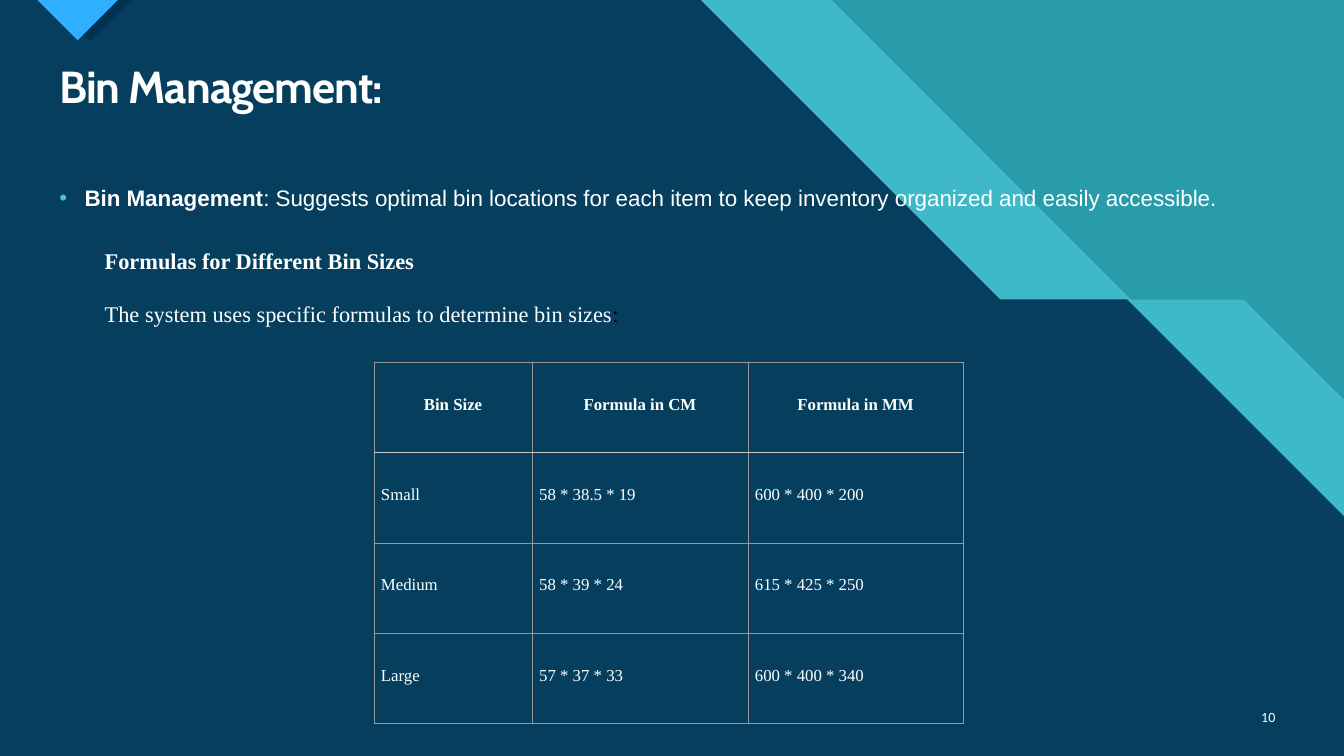
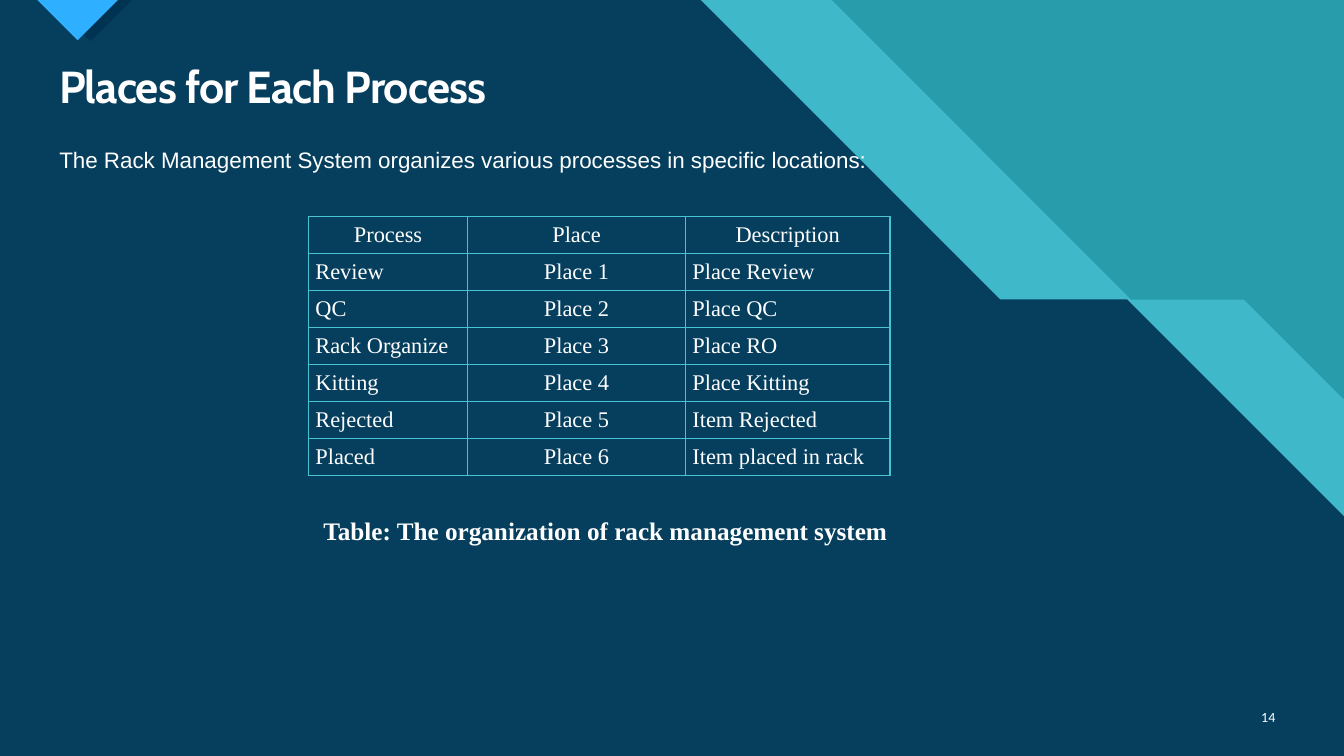
from dataclasses import dataclass

from lxml import etree
from pptx import Presentation
from pptx.dml.color import RGBColor
from pptx.enum.text import MSO_ANCHOR, PP_ALIGN
from pptx.oxml.ns import qn
from pptx.util import Inches, Pt

LEFT, CENTER, RIGHT = PP_ALIGN.LEFT, PP_ALIGN.CENTER, PP_ALIGN.RIGHT
TOP, MIDDLE = MSO_ANCHOR.TOP, MSO_ANCHOR.MIDDLE

# The slide is a grid of square cells, 40 columns by 22.5 rows.
COLUMNS, ROWS = 40, 22.5
SLIDE_WIDTH, SLIDE_HEIGHT = Inches(13.333), Inches(7.5)
CELL = SLIDE_HEIGHT / ROWS

TEAL = RGBColor(0x29, 0x9C, 0xAB)
LIGHT_TEAL = RGBColor(0x3F, 0xB9, 0xC9)
ACCENT_TEAL = RGBColor(0x47, 0xC3, 0xD3)
NAVY = RGBColor(0x06, 0x3F, 0x5E)
DARK_NAVY = RGBColor(0x00, 0x33, 0x52)
BLUE = RGBColor(0x2F, 0xAF, 0xFF)
WHITE = RGBColor(0xFF, 0xFF, 0xFF)
BLACK = RGBColor(0x00, 0x00, 0x00)
GRAY = RGBColor(0x99, 0x99, 0x99)
LIGHT_GRAY = RGBColor(0xC9, 0xC9, 0xC9)

TITLE_FONT, BODY_FONT, SERIF_FONT, NUMBER_FONT = "Cabin", "Arial", "Times New Roman", "Calibri"

BACKDROP = [
    (LIGHT_TEAL, [(0, 0), (24.75, 0), (33.66, 8.92), (37.02, 8.92), (40, 11.9),
                  (COLUMNS, ROWS), (0, ROWS)]),
    (NAVY, [(0, 0), (20.85, 0), (29.76, 8.91), (33.54, 8.91), (40, 15.37),
            (COLUMNS, ROWS), (0, ROWS)]),
    (DARK_NAVY, [(1.44, 0), (2.7, 1.23), (3.93, 0)]),
    (BLUE, [(1.11, 0), (2.31, 1.2), (3.51, 0)]),
]


@dataclass
class TextRun:
    text: str
    size: float = 16
    font: str = BODY_FONT
    bold: bool = False
    color: RGBColor = WHITE
    spacing: int = 0


@dataclass
class Border:
    color: RGBColor
    width: float


def grid(cells):
    """Turn a number of grid cells into a length."""
    return round(cells * CELL)


def add_run(paragraph, text_run):
    run = paragraph.add_run()
    run.text = text_run.text
    run.font.size = Pt(text_run.size)
    run.font.name = text_run.font
    run.font.bold = text_run.bold
    run.font.color.rgb = text_run.color
    if text_run.spacing:
        run._r.get_or_add_rPr().set("spc", str(text_run.spacing))


def add_text(slide, box, paragraphs, align=LEFT, anchor=TOP, gap=0):
    """Add a text box; gap is the space in points between paragraphs."""
    shape = slide.shapes.add_textbox(*map(grid, box))
    frame = shape.text_frame
    frame.word_wrap = True
    frame.vertical_anchor = anchor
    for index, runs in enumerate(paragraphs):
        paragraph = frame.add_paragraph() if index else frame.paragraphs[0]
        paragraph.alignment = align
        if index:
            paragraph.space_before = Pt(gap)
        for text_run in runs:
            add_run(paragraph, text_run)
    return shape


def add_solid_color(parent, color):
    fill = etree.SubElement(parent, qn("a:solidFill"))
    etree.SubElement(fill, qn("a:srgbClr")).set("val", str(color))


def set_bullet(paragraph, color, indent):
    properties = paragraph._p.get_or_add_pPr()
    properties.set("marL", str(indent))
    properties.set("indent", str(-indent))
    bullet_color = etree.SubElement(properties, qn("a:buClr"))
    etree.SubElement(bullet_color, qn("a:srgbClr")).set("val", str(color))
    etree.SubElement(properties, qn("a:buFont")).set("typeface", BODY_FONT)
    etree.SubElement(properties, qn("a:buChar")).set("char", "•")


def add_polygon(slide, color, points):
    corners = [(grid(x), grid(y)) for x, y in points]
    builder = slide.shapes.build_freeform(*corners[0])
    builder.add_line_segments(corners[1:], close=True)
    shape = builder.convert_to_shape()
    shape.shadow.inherit = False
    shape.fill.solid()
    shape.fill.fore_color.rgb = color
    shape.line.fill.background()


def set_borders(cell, top, bottom, sides):
    properties = cell._tc.get_or_add_tcPr()
    for tag, border in (("lnL", sides), ("lnR", sides), ("lnT", top), ("lnB", bottom)):
        line = etree.SubElement(properties, qn(f"a:{tag}"))
        line.set("w", str(Pt(border.width)))
        add_solid_color(line, border.color)


def add_table(slide, position, widths, row_height, rows, alignments, size, border,
              header_border, header_bold=False, bottom_margin=0.05):
    """Add an unfilled table whose first row is a centred header."""
    left, top = position
    table = slide.shapes.add_table(
        len(rows), len(widths), grid(left), grid(top),
        grid(sum(widths)), grid(row_height * len(rows))).table
    table.first_row = table.horz_banding = False
    for column, width in zip(table.columns, widths):
        column.width = grid(width)
    for row_index, texts in enumerate(rows):
        table.rows[row_index].height = grid(row_height)
        is_header = row_index == 0
        for column_index, text in enumerate(texts):
            cell = table.cell(row_index, column_index)
            set_borders(cell, header_border if row_index == 1 else border,
                        header_border if is_header else border, border)
            cell.fill.background()
            cell.margin_left = cell.margin_right = Inches(0.07)
            cell.margin_top = Inches(0.05)
            cell.margin_bottom = Inches(bottom_margin)
            cell.vertical_anchor = MIDDLE
            paragraph = cell.text_frame.paragraphs[0]
            paragraph.alignment = CENTER if is_header else alignments[column_index]
            add_run(paragraph, TextRun(text, size, SERIF_FONT, is_header and header_bold))


def add_base_slide(presentation, title, number):
    """Add a slide with the shared backdrop, title and page number."""
    slide = presentation.slides.add_slide(presentation.slide_layouts[6])
    slide.background.fill.solid()
    slide.background.fill.fore_color.rgb = TEAL
    for color, points in BACKDROP:
        add_polygon(slide, color, points)
    heading = add_text(slide, (1.47, 1.77, 36.78, 1.77),
                       [[TextRun(title, 32, TITLE_FONT, True, spacing=-70)]])
    heading.text_frame.paragraphs[0].line_spacing = 0.9
    add_text(slide, (36.93, 20.73, 1.32, 1.2),
             [[TextRun(number, 10, NUMBER_FONT)]], RIGHT, MIDDLE)
    return slide


def build_bin_slide(presentation):
    slide = add_base_slide(presentation, "Bin Management:", "10")
    summary = add_text(slide, (1.47, 5.34, 35.46, 1.2), [[
        TextRun("Bin Management", bold=True),
        TextRun(": Suggests optimal bin locations for each item to keep inventory "
                "organized and easily accessible."),
    ]])
    set_bullet(summary.text_frame.paragraphs[0], ACCENT_TEAL, Inches(0.25))
    bin_sizes = [
        ("Bin Size", "Formula in CM", "Formula in MM"),
        ("Small", "58 * 38.5 * 19", "600 * 400 * 200"),
        ("Medium", "58 * 39 * 24", "615 * 425 * 250"),
        ("Large", "57 * 37 * 33", "600 * 400 * 340"),
    ]
    add_table(slide, (11.13, 10.78), (4.71, 6.42, 6.42), 2.69, bin_sizes,
              (LEFT, LEFT, LEFT), 12, Border(GRAY, 0.5), Border(LIGHT_GRAY, 1.5),
              header_bold=True, bottom_margin=0.11)
    add_text(slide, (2.82, 7.2, 18.15, 2.64), [
        [TextRun("Formulas for Different Bin Sizes", font=SERIF_FONT, bold=True)],
        [TextRun("The system uses specific formulas to determine bin sizes", font=SERIF_FONT),
         TextRun(":", font=SERIF_FONT, color=BLACK)],
    ], gap=19)


def build_places_slide(presentation):
    slide = add_base_slide(presentation, "Places for Each Process", "14")
    add_text(slide, (1.47, 4.19, 33, 1.2), [[
        TextRun("The Rack Management System organizes various processes in specific locations:"),
    ]])
    processes = [
        ("Review", "Place Review"),
        ("QC", "Place QC"),
        ("Rack Organize", "Place RO"),
        ("Kitting", "Place Kitting"),
        ("Rejected", "Item Rejected"),
        ("Placed", "Item placed in rack"),
    ]
    places = [("Process", "Place", "Description")] + [
        (process, f"Place {number}", description)
        for number, (process, description) in enumerate(processes, 1)]
    border = Border(ACCENT_TEAL, 1)
    add_table(slide, (9.18, 6.45), (4.74, 6.48, 6.09), 1.09, places,
              (LEFT, CENTER, LEFT), 16, border, border)
    add_text(slide, (9.33, 15.18, 18, 1.17), [[
        TextRun("Table: The organization of rack management system", 18, SERIF_FONT, True),
    ]])


def main():
    presentation = Presentation()
    presentation.slide_width, presentation.slide_height = SLIDE_WIDTH, SLIDE_HEIGHT
    build_bin_slide(presentation)
    build_places_slide(presentation)
    presentation.save("out.pptx")


if __name__ == "__main__":
    main()
